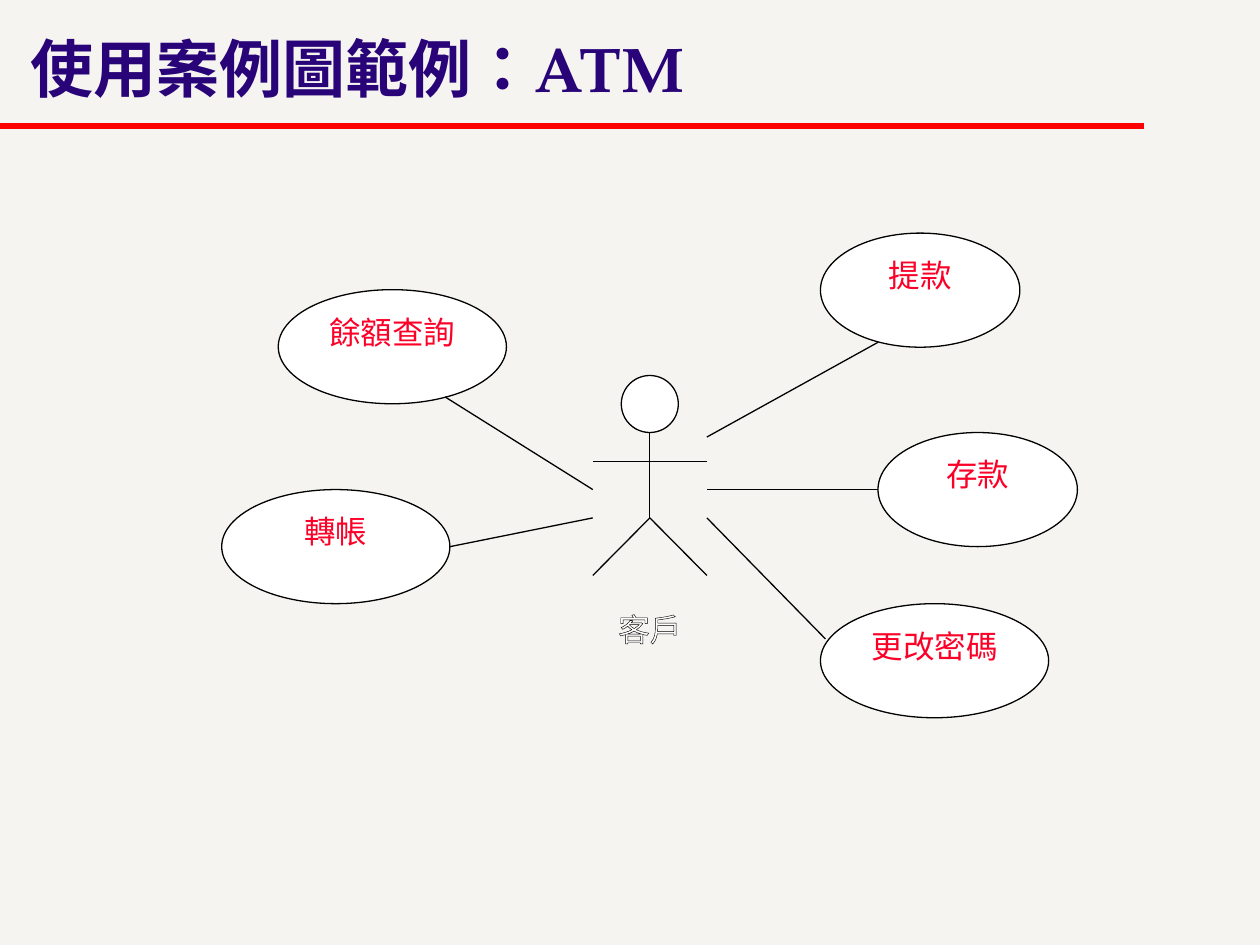
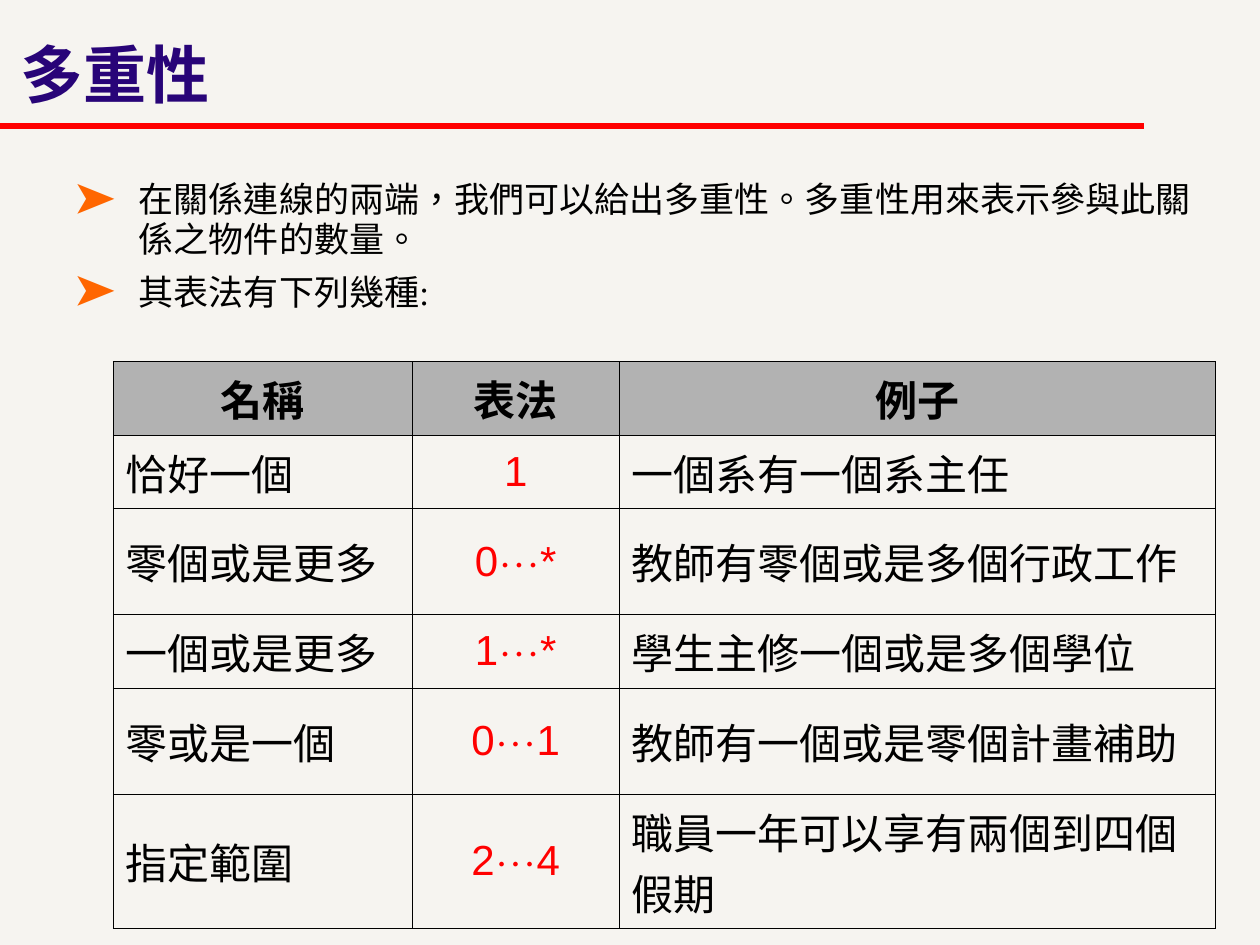
import lxml.etree
import pptx
import pptx.dml.color
import pptx.enum.shapes
import pptx.enum.text
import pptx.oxml
import pptx.oxml.ns
import pptx.util

Cm = pptx.util.Cm
Pt = pptx.util.Pt
RGBColor = pptx.dml.color.RGBColor
Align = pptx.enum.text.PP_ALIGN
Anchor = pptx.enum.text.MSO_ANCHOR
qn = pptx.oxml.ns.qn

PAPER = RGBColor(0xF6, 0xF4, 0xF0)
INDIGO = RGBColor(0x28, 0x04, 0x78)
RED = RGBColor(0xFF, 0x00, 0x00)
CRIMSON = RGBColor(0xFC, 0x01, 0x28)
ORANGE = RGBColor(0xFF, 0x66, 0x00)
GREY = RGBColor(0xB2, 0xB2, 0xB2)
BLACK = RGBColor(0x00, 0x00, 0x00)
WHITE = RGBColor(0xFF, 0xFF, 0xFF)

HAN = "Noto Sans CJK TC"
SERIF = "Times New Roman"


def add_xml(parent, tag, **attributes):
    return lxml.etree.SubElement(parent, qn(tag), attributes)


def add_colour(parent, colour):
    add_xml(add_xml(parent, "a:solidFill"), "a:srgbClr", val=str(colour))


class Deck:
    def __init__(self):
        self.deck = pptx.Presentation()
        self.deck.slide_width = Cm(25.4)
        self.deck.slide_height = Cm(19.05)
        self.page = None

    def start_page(self, title, left, top, width, height, font):
        self.page = self.deck.slides.add_slide(self.deck.slide_layouts[6])
        self.page.background.fill.solid()
        self.page.background.fill.fore_color.rgb = PAPER
        self.line((0, 2.54), (23.06, 2.54), RED, 3)
        frame = self.text_box(left, top, width, height)
        para = frame.paragraphs[0]
        para.line_spacing = 0.85
        self.span(para, title, 36, INDIGO, font, True)

    def text_box(self, left, top, width, height):
        box = self.page.shapes.add_textbox(Cm(left), Cm(top), Cm(width), Cm(height))
        frame = box.text_frame
        frame.word_wrap = True
        frame.vertical_anchor = Anchor.MIDDLE
        frame.margin_left = frame.margin_right = Cm(0.41)
        frame.margin_top = frame.margin_bottom = Cm(0.2)
        return frame

    def span(self, para, text, size, colour, font=HAN, bold=False):
        span = para.add_run()
        span.text = text
        span.font.size = Pt(size)
        span.font.bold = bold
        span.font.color.rgb = colour
        span.font.name = font
        properties = span._r.get_or_add_rPr()
        properties.set("lang", "zh-TW")
        add_xml(properties, "a:ea", typeface=HAN)
        return span

    def line(self, start, end, colour=BLACK, weight=0.75):
        line = self.page.shapes.add_connector(
            pptx.enum.shapes.MSO_CONNECTOR.STRAIGHT, *map(Cm, start + end))
        line.line.color.rgb = colour
        line.line.width = Pt(weight)
        add_xml(line._element.spPr, "a:effectLst")

    def ellipse(self, left, top, width, height, text=""):
        shape = self.page.shapes.add_shape(
            pptx.enum.shapes.MSO_SHAPE.OVAL, Cm(left), Cm(top), Cm(width), Cm(height))
        shape.shadow.inherit = False
        shape.fill.solid()
        shape.fill.fore_color.rgb = WHITE
        shape.line.color.rgb = BLACK
        shape.line.width = Pt(0.75)
        if text:
            shape.text_frame.vertical_anchor = Anchor.TOP
            para = shape.text_frame.paragraphs[0]
            para.alignment = Align.CENTER
            self.span(para, text, 18, CRIMSON, SERIF)

    def actor(self, centre, top, name):
        head, reach = 1.15, 1.15
        neck, shoulder, hip, foot = top + head, top + 1.73, top + 2.87, top + 4.03
        self.ellipse(centre - head / 2, top, head, head)
        self.line((centre - reach, shoulder), (centre + reach, shoulder))
        self.line((centre, neck), (centre, hip))
        for side in (-reach, reach):
            self.line((centre, hip), (centre + side, foot))
        box = self.page.shapes.add_textbox(
            Cm(centre - reach), Cm(top + 4.6), Cm(2 * reach), Cm(0.58))
        box.text_frame.word_wrap = False
        para = box.text_frame.paragraphs[0]
        para.alignment = Align.CENTER
        span = self.span(para, name, 18, WHITE)
        outline = pptx.oxml.parse_xml(
            f'<a:ln {pptx.oxml.ns.nsdecls("a")} w="0"/>')
        add_colour(outline, BLACK)
        span._r.get_or_add_rPr().insert(0, outline)

    def bullets(self, left, top, width, height, items):
        frame = self.text_box(left, top, width, height)
        for index, parts in enumerate(items):
            para = frame.add_paragraph() if index else frame.paragraphs[0]
            properties = para._p.get_or_add_pPr()
            properties.set("marL", str(Cm(1.27)))
            properties.set("indent", str(-Cm(1.27)))
            colour = add_xml(properties, "a:buClr")
            add_xml(colour, "a:srgbClr", val=str(ORANGE))
            add_xml(properties, "a:buSzPct", val="125000")
            add_xml(properties, "a:buFont", typeface=SERIF)
            add_xml(properties, "a:buChar", char="➤")
            para.line_spacing = 0.95
            para.space_before = Pt(1.2 if index else 0)
            para.space_after = Pt(6.2)
            for text, font in parts:
                self.span(para, text, 20, BLACK, font)

    def cell(self, cell, parts, colour, centred, bold, fill):
        cell.vertical_anchor = Anchor.MIDDLE
        para = cell.text_frame.paragraphs[0]
        para.alignment = Align.CENTER if centred else Align.LEFT
        for text, font in parts:
            self.span(para, text, 24, colour, font, bold)
        properties = cell._tc.get_or_add_tcPr()
        for side in ("a:lnL", "a:lnR", "a:lnT", "a:lnB"):
            add_colour(add_xml(properties, side, w=str(Pt(0.45))), BLACK)
        if fill:
            cell.fill.solid()
            cell.fill.fore_color.rgb = fill
        else:
            cell.fill.background()

    def table(self, left, top, widths, heights, header, rows):
        table = self.page.shapes.add_table(
            len(heights), len(widths), Cm(left), Cm(top),
            Cm(sum(widths)), Cm(sum(heights))).table
        table.first_row = table.horz_banding = False
        for column, width in zip(table.columns, widths):
            column.width = Cm(width)
        for row, height in zip(table.rows, heights):
            row.height = Cm(height)
        for index, text in enumerate(header):
            self.cell(table.cell(0, index), [(text, "Lato")], BLACK, True, True, GREY)
        for index, (name, notation, example) in enumerate(rows, 1):
            marks = [(mark, SERIF if mark == "⋯" else "Arial") for mark in notation]
            self.cell(table.cell(index, 0), [(name, "Lato")], BLACK, False, False, None)
            self.cell(table.cell(index, 1), marks, RED, True, False, None)
            self.cell(table.cell(index, 2), [(example, "Lato")], BLACK, False, False, None)


def build_use_cases(deck):
    deck.start_page("使用案例圖範例：ATM", 0.2, 0, 22.86, 2.97, "TeX Gyre Pagella")
    use_cases = [
        ("提款", 16.54, 4.7, 4.02, (17.7, 6.9), (14.25, 8.81)),
        ("存款", 17.7, 8.72, 4.02, (17.7, 9.87), (14.25, 9.87)),
        ("更改密碼", 16.54, 12.17, 4.6, (16.64, 12.88), (14.25, 10.44)),
        ("餘額查詢", 5.61, 5.84, 4.6, (8.97, 8), (11.95, 9.87)),
        ("轉帳", 4.47, 9.87, 4.6, (9.07, 11.02), (11.95, 10.44)),
    ]
    for name, left, top, width, start, end in use_cases:
        deck.ellipse(left, top, width, 2.3, name)
        deck.line(start, end)
    deck.actor(13.1, 7.57, "客戶")


def build_multiplicity(deck):
    deck.start_page("多重性", 0, 0, 22.6, 3.18, HAN)
    deck.bullets(1.12, 3.02, 23.98, 3.91, [
        [("在關係連線的兩端，我們可以給出多重性。多重性用來表示參與此關係之物件的數量。", HAN)],
        [("其表法有下列幾種", HAN), (":", SERIF)],
    ])
    deck.table(
        2.28, 7.29, [6.03, 4.17, 12.02], [1.48, 1.48, 2.14, 1.48, 2.14, 2.71],
        ["名稱", "表法", "例子"],
        [
            ("恰好一個", "1", "一個系有一個系主任"),
            ("零個或是更多", "0⋯*", "教師有零個或是多個行政工作"),
            ("一個或是更多", "1⋯*", "學生主修一個或是多個學位"),
            ("零或是一個", "0⋯1", "教師有一個或是零個計畫補助"),
            ("指定範圍", "2⋯4", "職員一年可以享有兩個到四個假期"),
        ])


def main():
    deck = Deck()
    build_use_cases(deck)
    build_multiplicity(deck)
    deck.deck.save("out.pptx")


if __name__ == "__main__":
    main()
